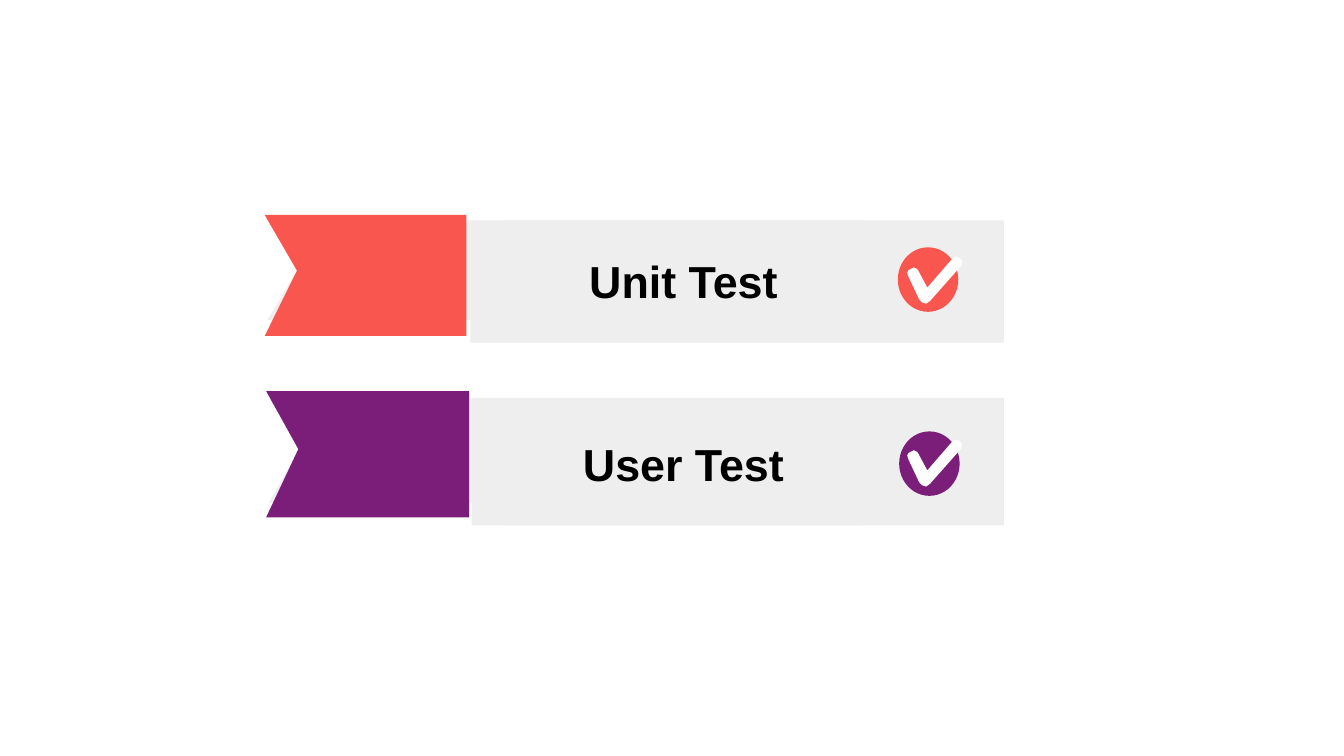
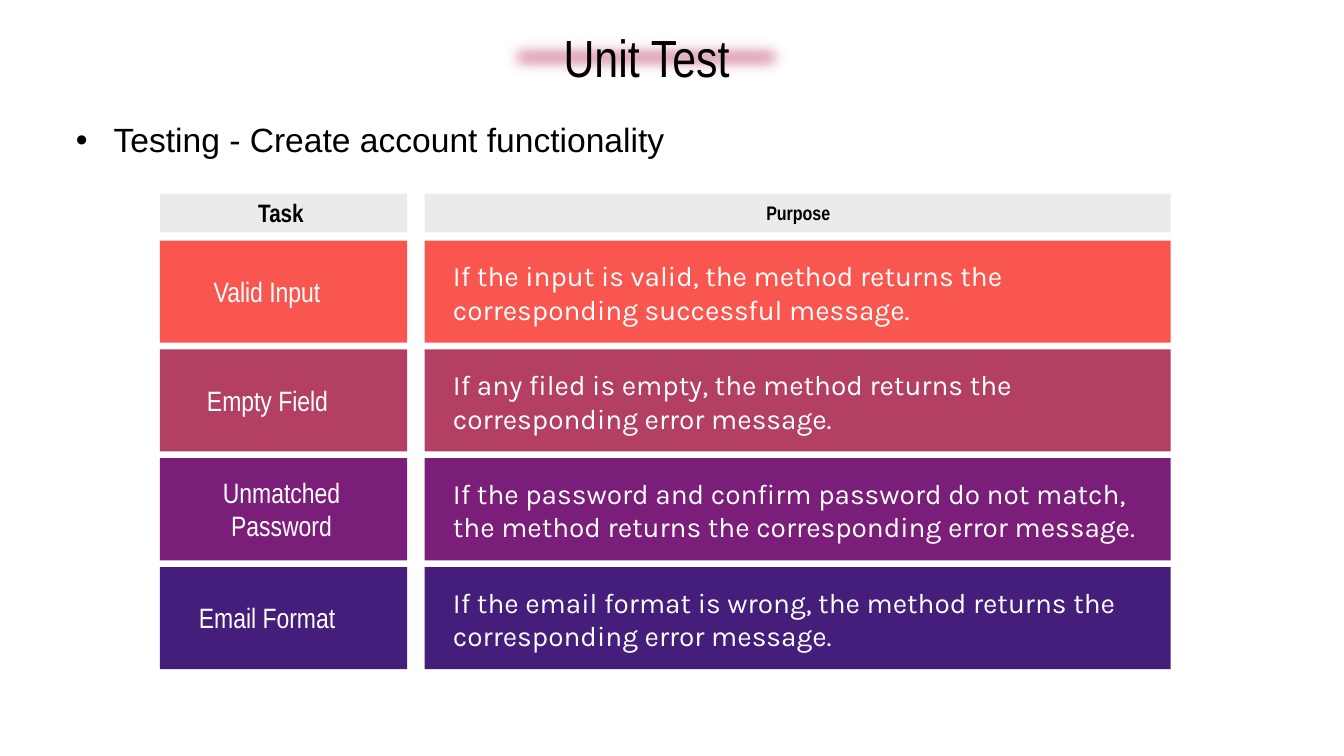
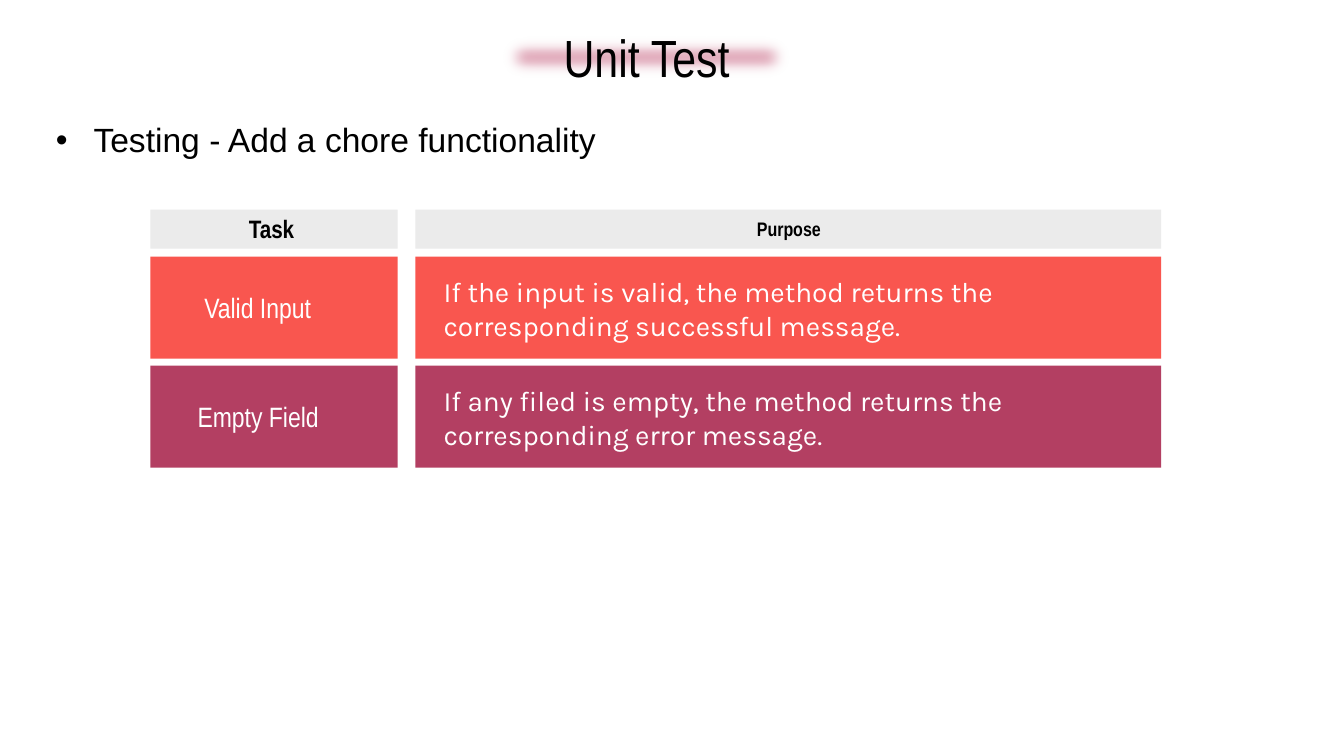
"""Build three slides on unit and user testing."""
from lxml import etree
from pptx import Presentation
from pptx import util as u
from pptx.dml.color import RGBColor
from pptx.enum import shapes, text
from pptx.oxml import ns

COLORS = {
    "black": "000000", "white": "FFFFFF", "tick": "FEFEFE",
    "panel": "EEEEEE", "header": "EBEBEB", "band": "D5889F",
    "coral": "F9564F", "rose": "B33F62", "purple": "7B1E7A", "indigo": "451E7B",
}
RECT = shapes.MSO_SHAPE.RECTANGLE
NARROW = "Arial Narrow"


def paint(shape, color):
    shape.shadow.inherit = False
    shape.fill.solid()
    shape.fill.fore_color.rgb = RGBColor.from_string(COLORS[color])
    shape.line.fill.background()
    return shape


def write(box, content, size, font="Arial", color="black", bold=False,
          align="CENTER", inset=0.07, inset_x=None, bullet=False):
    frame = box.text_frame
    frame.word_wrap = True
    frame.auto_size = text.MSO_AUTO_SIZE.NONE
    frame.vertical_anchor = text.MSO_ANCHOR.MIDDLE
    frame.margin_top = frame.margin_bottom = u.Inches(inset)
    frame.margin_left = frame.margin_right = u.Inches(inset_x or inset)
    para = frame.paragraphs[0]
    para.alignment = text.PP_ALIGN[align]
    if bullet:
        props = para._p.get_or_add_pPr()
        props.set("marL", str(u.Inches(0.28)))
        props.set("indent", str(-u.Inches(0.28)))
        tint = etree.SubElement(props, ns.qn("a:buClr"))
        etree.SubElement(tint, ns.qn("a:srgbClr"), val=COLORS[color])
        etree.SubElement(props, ns.qn("a:buFont"), typeface="Arial")
        etree.SubElement(props, ns.qn("a:buChar"), char="•")
        para.line_spacing = 0.9
    span = para.add_run()
    span.text = content
    span.font.size = u.Pt(size)
    span.font.name = font
    span.font.bold = bold
    span.font.color.rgb = RGBColor.from_string(COLORS[color])


deck = Presentation()
deck.slide_width = u.Inches(10)
deck.slide_height = u.Inches(10 * 9 / 16)

TICK = [(0.37, 0), (0.34, 0.01), (0.15, 0.23), (0.08, 0.1), (0.07, 0.09),
        (0.05, 0.08), (0.03, 0.09), (0.01, 0.1), (0, 0.12), (0.01, 0.15),
        (0.09, 0.32), (0.11, 0.34), (0.14, 0.35), (0.17, 0.33), (0.4, 0.07),
        (0.41, 0.04), (0.4, 0.02), (0.39, 0.01)]
BANNERS = [
    dict(label="Unit Test", color="coral", panel=(3.5, 1.64, 3.97, 0.91),
         fold=(1.99, 1.64, 1.51, 0.74), flag=(1.97, 1.6, 1.5, 0.9),
         caption=(3.75, 1.64, 2.67, 0.9), disc=(6.68, 1.84), tick=(6.75, 1.91)),
    dict(label="User Test", color="purple", panel=(3.51, 2.96, 3.96, 0.95),
         fold=(2, 2.96, 1.51, 0.78), flag=(1.98, 2.91, 1.51, 0.94),
         caption=(3.75, 2.99, 2.67, 0.92), disc=(6.69, 3.21), tick=(6.75, 3.27)),
]

page = deck.slides.add_slide(deck.slide_layouts[6])
for banner in BANNERS:
    paint(page.shapes.add_shape(RECT, *map(u.Inches, banner["panel"])), "panel")
    caption = page.shapes.add_shape(RECT, *map(u.Inches, banner["caption"]))
    write(paint(caption, "panel"), banner["label"], 24, bold=True, inset_x=0.15)
    disc = page.shapes.add_shape(
        shapes.MSO_SHAPE.OVAL, *map(u.Inches, (*banner["disc"], 0.45, 0.48)))
    paint(disc, banner["color"])
    outlines = []
    for part, color in (("fold", "panel"), ("flag", banner["color"])):
        left, top, width, height = banner[part]
        ribbon = [(0, 0), (0.24, 0.46 * height), (0, height), (width, height), (width, 0)]
        outlines.append((left, top, ribbon, color))
    outlines.append((*banner["tick"], TICK, "tick"))
    for left, top, offsets, color in outlines:
        points = [(u.Inches(left + x), u.Inches(top + y)) for x, y in offsets]
        builder = page.shapes.build_freeform(*points[0])
        builder.add_line_segments(points[1:], close=True)
        paint(builder.convert_to_shape(), color)

CASES = [
    ("Valid Input", "coral", 0.33, 1.19, "LEFT",
     "If the input is valid, the method returns the corresponding successful message."),
    ("Empty Field", "rose", 0.28, 1.25, "LEFT",
     "If any filed is empty, the method returns the corresponding error message."),
    ("Unmatched Password", "purple", 0.2, 1.41, "CENTER",
     "If the password and confirm password do not match, "
     "the method returns the corresponding error message."),
    ("Email Format", "indigo", 0.22, 1.41, "LEFT",
     "If the email format is wrong, the method returns the corresponding error message."),
]
TOPICS = [
    ("Testing - Create account functionality", 4.97, 1.19, 1.44, CASES),
    ("Testing - Add a chore functionality", 4.31, 1.12, 1.56, CASES[:2]),
]

for topic, topic_width, left, top, cases in TOPICS:
    page = deck.slides.add_slide(deck.slide_layouts[5])
    title_area = [u.Inches(n) for n in (3.69, 0.23, 2.24, 0.39)]
    band = paint(page.shapes.add_shape(RECT, *title_area), "band")
    effects = band._element.spPr.find(ns.qn("a:effectLst"))
    etree.SubElement(effects, ns.qn("a:softEdge"), rad=str(u.Pt(9)))
    title = page.shapes.title
    title.left, title.top, title.width, title.height = title_area
    write(title, "Unit Test", 28, font=NARROW, inset=0.1)
    page.shapes._spTree.append(title._element)

    box = page.shapes.add_textbox(*map(u.Inches, (0.27, 0.86, topic_width, 0.39)))
    write(box, topic, 18, bullet=True)

    columns = [("Task", 13.5, left, 1.84, 0.19, 1.42),
               ("Purpose", 10.5, left + 1.97, 5.55, 1.83, 1.9)]
    for heading, size, x, width, shift, text_width in columns:
        bar = page.shapes.add_shape(RECT, *map(u.Inches, (x, top, width, 0.29)))
        paint(bar, "header")
        box = page.shapes.add_textbox(
            *map(u.Inches, (x + shift, top - 0.01, text_width, 0.3)))
        write(box, heading, size, font=NARROW, bold=True)

    for row, (task, color, shift, task_width, align, purpose) in enumerate(cases):
        y = top + 0.35 + 0.81 * row
        for heading, size, x, width, *rest in columns:
            cell = page.shapes.add_shape(RECT, *map(u.Inches, (x, y, width, 0.76)))
            paint(cell, color)
        box = page.shapes.add_textbox(
            *map(u.Inches, (left + shift, y + 0.18, task_width, 0.39)))
        write(box, task, 15, font=NARROW, color="white", align=align)
        box = page.shapes.add_textbox(
            *map(u.Inches, (left + 2.11, y + 0.1, 5.31, 0.57)))
        write(box, purpose, 15, font="Karla", color="white", align="LEFT")

deck.save("out.pptx")
